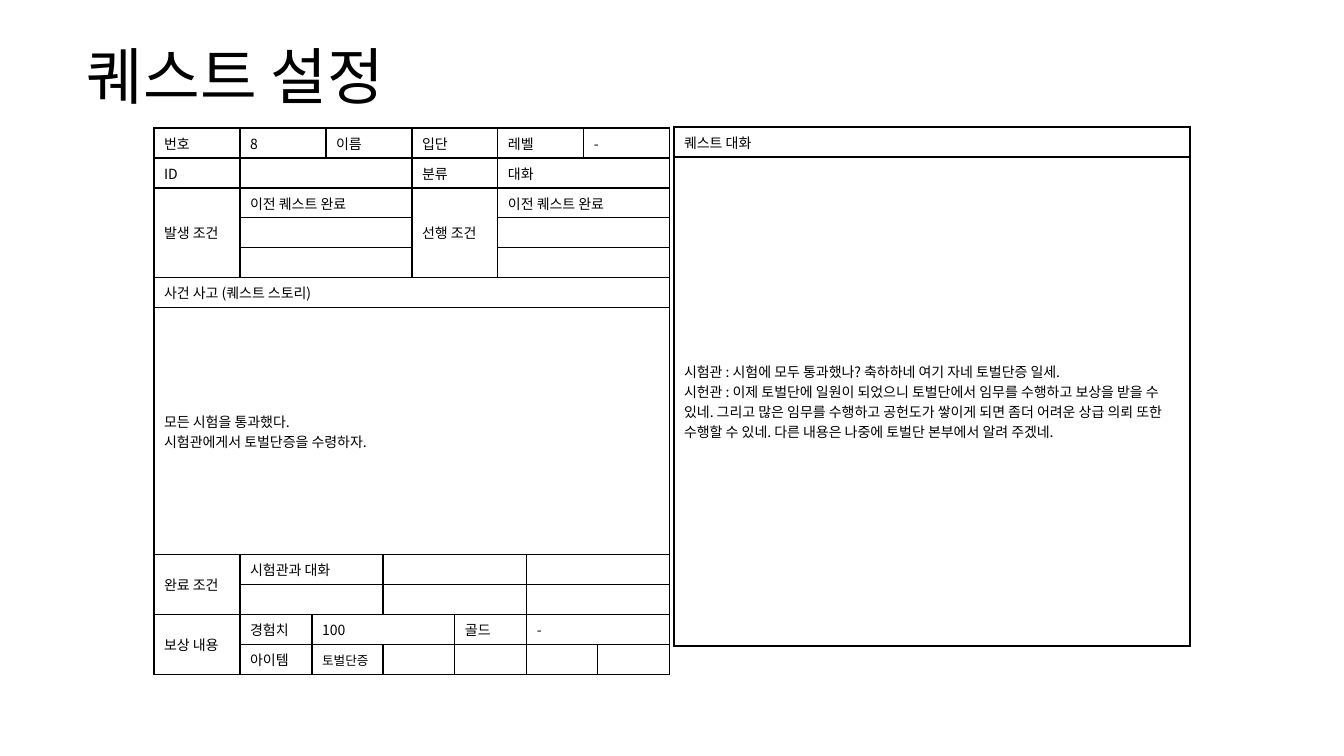
from itertools import accumulate
from lxml.etree import SubElement
from pptx import Presentation
from pptx.dml.color import RGBColor
from pptx.enum.text import MSO_ANCHOR
from pptx.oxml import parse_xml
from pptx.oxml.ns import nsdecls, qn
from pptx.util import Emu, Pt

FONT = "Noto Sans CJK KR"
BLACK = RGBColor(0, 0, 0)
PX = 914400 / 100.8

TITLE = "퀘스트 설정"
TITLE_BOX = (77, 32, 1190, 95)

# Each cell: text, columns spanned, rows spanned, optional text size
QUEST = [
    [("번호", 1, 1), ("8", 2, 1), ("이름", 2, 1), ("입단", 2, 1), ("레벨", 2, 1), ("-", 2, 1)],
    [("ID", 1, 1), ("", 4, 1), ("분류", 2, 1), ("대화", 4, 1)],
    [("발생 조건", 1, 3), ("이전 퀘스트 완료", 4, 1), ("선행 조건", 2, 3), ("이전 퀘스트 완료", 4, 1)],
    [("", 4, 1), ("", 4, 1)],
    [("", 4, 1), ("", 4, 1)],
    [("사건 사고 (퀘스트 스토리)", 11, 1)],
    [("모든 시험을 통과했다.\n시험관에게서 토벌단증을 수령하자.", 11, 1)],
    [("완료 조건", 1, 2), ("시험관과 대화", 3, 1), ("", 4, 1), ("", 3, 1)],
    [("", 3, 1), ("", 4, 1), ("", 3, 1)],
    [("보상 내용", 1, 2), ("경험치", 1, 1), ("100", 4, 1), ("골드", 2, 1), ("-", 3, 1)],
    [("아이템", 1, 1), ("토벌단증", 2, 1, 9), ("", 2, 1), ("", 2, 1), ("", 2, 1), ("", 1, 1)],
]
TALK = [
    [("퀘스트 대화", 1, 1)],
    [("시험관 : 시험에 모두 통과했나? 축하하네 여기 자네 토벌단증 일세.\n"
      "시헌관 : 이제 토벌단에 일원이 되었으니 토벌단에서 임무를 수행하고 보상을 받을 수 있네. "
      "그리고 많은 임무를 수행하고 공헌도가 쌓이게 되면 좀더 어려운 상급 의뢰 또한 수행할 수 있네. "
      "다른 내용은 나중에 토벌단 본부에서 알려 주겠네.", 1, 1)],
]
LINE = 30
QUEST_COLS = [86, 72, 14, 57, 29, 43, 43, 29, 57, 14, 72]
QUEST_ROWS = [LINE] * 6 + [247] + [LINE] * 4
TABLES = [
    (QUEST, (154, 128), QUEST_COLS, QUEST_ROWS),
    (TALK, (674, 127), [516], [LINE, 489]),
]


def px(num):
    """Turn pixels into EMU."""
    return Emu(round(num * PX))


def write(frame, text, size):
    """Fill a text frame, one paragraph per line of text."""
    frame.text = text
    look = {"size": Pt(size), "name": FONT}
    for para in frame.paragraphs:
        for run in para.runs:
            for key, val in look.items():
                setattr(run.font, key, val)
            run.font.color.rgb = BLACK
            SubElement(run.font._element, qn("a:ea"), typeface=FONT)
        if not para.runs:
            end = SubElement(para._p, qn("a:endParaRPr"), sz=str(size * 100))
            for tag in ("a:latin", "a:ea"):
                SubElement(end, qn(tag), typeface=FONT)


def frame_cell(cell):
    """Clear the fill of a cell and draw its four borders."""
    cell.fill.background()
    cell.vertical_anchor = MSO_ANCHOR.MIDDLE
    props = cell._tc.get_or_add_tcPr()
    for pos, side in enumerate("LRTB"):
        props.insert(pos, parse_xml(
            f'<a:ln{side} {nsdecls("a")} w="{Pt(1)}"><a:solidFill>'
            f'<a:srgbClr val="{BLACK}"/></a:solidFill></a:ln{side}>'))


def draw_table(slide, rows, spot, wides, highs):
    """Add a table and place each cell in the next free columns."""
    box = (*spot, sum(wides), sum(highs))
    table = slide.shapes.add_table(len(highs), len(wides), *map(px, box)).table
    table.first_row = table.horz_banding = False
    edges = [0, *accumulate(wides)]
    for col, left, right in zip(table.columns, edges, edges[1:]):
        col.width = px(right) - px(left)
    for row, high in zip(table.rows, highs):
        row.height = px(high)
    for cell in table.iter_cells():
        frame_cell(cell)
        write(cell.text_frame, "", 10)
    for top, row in enumerate(rows):
        left = 0
        for text, wide, high, *size in row:
            while table.cell(top, left).is_spanned:
                left += 1
            cell = table.cell(top, left)
            if text:
                write(cell.text_frame, text, *(size or [10]))
            if wide * high > 1:
                cell.merge(table.cell(top + high - 1, left + wide - 1))
            left += wide


def draw_title(slide):
    """Add the slide title."""
    frame = slide.shapes.add_textbox(*map(px, TITLE_BOX)).text_frame
    write(frame, TITLE, 44)
    look = {"word_wrap": True, "vertical_anchor": MSO_ANCHOR.MIDDLE}
    for key, val in look.items():
        setattr(frame, key, val)
    frame.paragraphs[0].line_spacing = 0.9


deck = Presentation()
deck.slide_width, deck.slide_height = px(1344), px(756)
slide = deck.slides.add_slide(deck.slide_layouts[6])
draw_title(slide)
for part in TABLES:
    draw_table(slide, *part)
deck.save("out.pptx")
